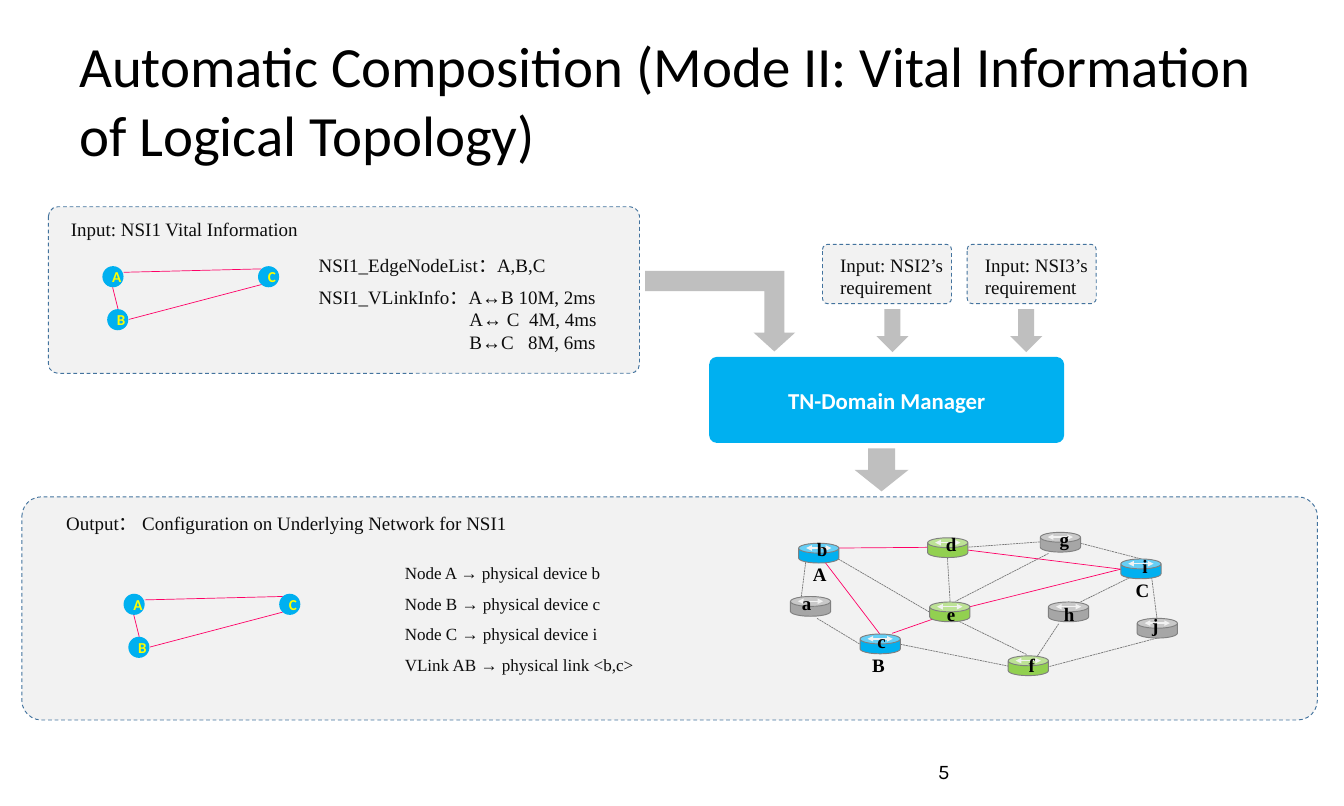
"""Build the slide on automatic composition from vital information of a logical topology."""
from lxml import etree
from pptx import Presentation
from pptx import util as u
from pptx.dml.color import RGBColor
from pptx.enum import dml, shapes, text
from pptx.oxml.ns import qn

BLACK = RGBColor(0x00, 0x00, 0x00)
INK = RGBColor(0x0D, 0x0D, 0x0D)
WHITE = RGBColor(0xFF, 0xFF, 0xFF)
PANEL = RGBColor(0xF2, 0xF2, 0xF2)
PANEL_EDGE = RGBColor(0x43, 0x73, 0x9E)
BLUE = RGBColor(0x00, 0xB0, 0xF0)
GREEN = RGBColor(0x92, 0xD0, 0x50)
GREY = RGBColor(0xA6, 0xA6, 0xA6)
ARROW = RGBColor(0xBF, 0xBF, 0xBF)
ROUTER_EDGE = RGBColor(0x80, 0x80, 0x80)
PINK = RGBColor(0xFF, 0x00, 0x66)
LINK_GREY = RGBColor(0x77, 0x77, 0x77)
YELLOW = RGBColor(0xFF, 0xFF, 0x00)

SERIF = "Times New Roman"
BODY = {"name": SERIF, "size": u.Pt(20)}
MAPPING = {"name": SERIF, "size": u.Pt(18)}
LABEL = {"name": SERIF, "size": u.Pt(20), "bold": True}
NODE = {"name": "Calibri", "size": u.Pt(16), "bold": True}
MANAGER = {"name": "Calibri", "size": u.Pt(24), "bold": True}
TITLE = {"name": "Calibri", "size": u.Pt(60)}
PAGE = {"name": "Karla", "size": u.Pt(22)}

LEFT, CENTER = text.PP_ALIGN.LEFT, text.PP_ALIGN.CENTER
TOP, MIDDLE = text.MSO_ANCHOR.TOP, text.MSO_ANCHOR.MIDDLE
DASH, FINE_DASH = dml.MSO_LINE.DASH, dml.MSO_LINE.SQUARE_DOT
SHAPE = shapes.MSO_SHAPE

LOGICAL_NODES = {"A": (1.5, 3.9), "C": (3.78, 3.9), "B": (1.57, 4.53)}
LOGICAL_LINKS = [
    ((1.65, 4.21), (1.73, 4.53)),
    ((3.83, 4.17), (1.89, 4.68)),
    ((1.81, 3.99), (3.83, 3.94)),
]
ROUTERS = {
    "a": (11.58, 8.74, GREY), "b": (11.7, 7.96, BLUE), "c": (12.6, 9.29, BLUE),
    "d": (13.59, 7.88, GREEN), "e": (13.62, 8.82, GREEN), "f": (14.77, 9.61, GREEN),
    "g": (15.24, 7.8, GREY), "h": (15.36, 8.82, GREY), "i": (16.42, 8.19, BLUE),
    "j": (16.66, 9.06, GREY),
}
ROUTER_LABELS = {
    "a": (11.65, 8.62), "b": (11.81, 7.83), "c": (12.68, 9.17), "d": (13.7, 7.75),
    "e": (13.7, 8.78), "f": (14.88, 9.52), "g": (15.36, 7.68), "h": (15.43, 8.78),
    "i": (16.54, 8.07), "j": (16.69, 8.94),
    "A": (11.81, 8.19), "B": (12.68, 9.53), "C": (16.54, 8.43),
}
SPARE_LINKS = [
    ((12.28, 8.19), (13.62, 8.97)), ((13.19, 9.44), (14.77, 9.76)),
    ((15.2, 9.61), (15.51, 9.14)), ((15.83, 8.82), (16.62, 8.43)),
    ((11.81, 8.19), (11.73, 8.82)), ((11.97, 9.06), (12.6, 9.44)),
    ((13.88, 8.17), (13.92, 8.82)), ((15.24, 7.94), (14.15, 8.02)),
    ((16.72, 8.19), (15.83, 7.96)), ((16.95, 9.35), (15.36, 9.77)),
    ((16.95, 9.06), (16.85, 8.29)), ((15.04, 9.59), (14.02, 9.09)),
    ((15.36, 8.11), (14, 8.81)),
]
USED_LINKS = [
    ((12.05, 8.19), (12.89, 9.29)), ((14.17, 8.9), (16.42, 8.34)),
    ((12.28, 8.03), (13.59, 8.02)), ((13.7, 9.06), (13.07, 9.28)),
    ((14.1, 8.05), (16.42, 8.34)),
]


def inches(*lengths):
    return [u.Inches(length) for length in lengths]


def apply(target, values):
    for name, value in values.items():
        setattr(target, name, value)


class TopologySlide:
    def __init__(self, presentation):
        self.slide = presentation.slides.add_slide(presentation.slide_layouts[1])
        self.shapes = self.slide.shapes

    def set_text(self, shape, lines, font, color, align=LEFT, anchor=TOP,
                 margins=(0.1, 0.05), spacing=1.0, indents=()):
        frame = shape.text_frame
        side, edge = inches(*margins)
        apply(frame, {
            "text": "\n".join(lines), "word_wrap": True, "vertical_anchor": anchor,
            "auto_size": text.MSO_AUTO_SIZE.NONE, "margin_left": side,
            "margin_right": side, "margin_top": edge, "margin_bottom": edge,
        })
        for index, paragraph in enumerate(frame.paragraphs):
            apply(paragraph, {"alignment": align, "line_spacing": spacing,
                              "space_before": u.Pt(0)})
            indent = indents[index] if indents else 0
            properties = paragraph._p.get_or_add_pPr()
            properties.set("marL", str(u.Inches(indent)))
            properties.set("indent", "0")
            etree.SubElement(properties, qn("a:buNone"))
            for run in paragraph.runs:
                apply(run.font, font)
                run.font.color.rgb = color

    def placeholder(self, shape, box, lines, font, color, **layout):
        apply(shape, dict(zip(("left", "top", "width", "height"), inches(*box))))
        self.shapes._spTree.append(shape._element)
        self.set_text(shape, lines, font, color, **layout)

    def text(self, box, lines, font=BODY, color=INK, **layout):
        self.set_text(self.shapes.add_textbox(*inches(*box)), lines, font, color, **layout)

    def preset(self, kind, box, fill, edge=None, dash=None, adjust=()):
        shape = self.shapes.add_shape(kind, *inches(*box))
        shape.shadow.inherit = False
        shape.fill.solid()
        shape.fill.fore_color.rgb = fill
        for index, value in enumerate(adjust):
            shape.adjustments[index] = value
        if edge is None:
            shape.line.fill.background()
        else:
            shape.line.color.rgb = edge
            apply(shape.line, {"width": u.Pt(1), "dash_style": dash})
        return shape

    def panel(self, box, corner=0.088):
        self.preset(SHAPE.ROUNDED_RECTANGLE, box, PANEL, PANEL_EDGE, DASH, [corner])

    def link(self, start, end, color, width=0.75, dash=None, arrows=False):
        connector = self.shapes.add_connector(
            shapes.MSO_CONNECTOR.STRAIGHT, *inches(*start, *end))
        connector.line.color.rgb = color
        apply(connector.line, {"width": u.Pt(width), "dash_style": dash})
        if arrows:
            for tag in ("a:headEnd", "a:tailEnd"):
                etree.SubElement(connector.line._ln, qn(tag), type="triangle")
        etree.SubElement(connector._element.spPr, qn("a:effectLst"))

    def router(self, left, top, color):
        self.preset(SHAPE.CAN, (left, top, 0.59, 0.29), color, ROUTER_EDGE, adjust=[0.5])
        self.link((left + 0.11, top + 0.07), (left + 0.48, top + 0.07),
                  PANEL, 1.5, arrows=True)

    def logical_topology(self, dx, dy):
        for name, (left, top) in LOGICAL_NODES.items():
            node = self.preset(SHAPE.OVAL, (left + dx, top + dy, 0.31, 0.31), BLUE)
            self.set_text(node, [name], NODE, YELLOW, align=CENTER, anchor=MIDDLE)
        for (x1, y1), (x2, y2) in LOGICAL_LINKS:
            self.link((x1 + dx, y1 + dy), (x2 + dx, y2 + dy), PINK)

    def physical_network(self):
        for start, end in SPARE_LINKS:
            self.link(start, end, LINK_GREY, dash=FINE_DASH)
        for start, end in USED_LINKS:
            self.link(start, end, PINK)
        for router in ROUTERS.values():
            self.router(*router)
        for name, corner in ROUTER_LABELS.items():
            self.text((*corner, 0.47, 0.44), [name], LABEL, BLACK,
                      align=LEFT if name in "ABCa" else CENTER)

    def requirement(self, left, arrow_left, name):
        self.preset(SHAPE.DOWN_ARROW, (arrow_left, 4.53, 0.47, 0.63), ARROW)
        self.panel((left, 3.58, 1.89, 0.87))
        self.text((left + 0.16, 3.66, 2.05, 0.77), [f"Input: {name}’s requirement"])


def main():
    presentation = Presentation()
    apply(presentation, {"slide_width": u.Inches(19.69), "slide_height": u.Inches(11.81)})
    page = TopologySlide(presentation)
    title, mapping = page.slide.placeholders

    page.placeholder(
        title, (0.98, 0.47, 17.72, 1.97),
        ["Automatic Composition (Mode II: Vital Information of Logical Topology)"],
        TITLE, BLACK, anchor=MIDDLE, margins=(0.18, 0.09))

    page.panel((0.71, 3.03, 8.66, 2.44), 0.056)
    page.text((0.94, 3.14, 3.94, 0.44), ["Input: NSI1 Vital Information"])
    page.logical_topology(0, 0)
    page.text((4.57, 3.66, 4.72, 0.44), ["NSI1_EdgeNodeList：A,B,C"])
    page.text((4.57, 4.13, 4.72, 1.11),
              ["NSI1_VLinkInfo：A↔B 10M, 2ms", "A↔ C  4M, 4ms", "B↔C   8M, 6ms"],
              indents=(0, 2.21, 2.21))

    bent = page.preset(SHAPE.BENT_UP_ARROW, (9.45, 3.97, 2.2, 1.18), ARROW,
                       adjust=[0.25, 0.258, 0.234])
    bent._element.spPr.xfrm.set("flipV", "1")
    page.requirement(12.05, 12.84, "NSI2")
    page.requirement(14.17, 14.8, "NSI3")
    manager = page.preset(SHAPE.ROUNDED_RECTANGLE, (10.39, 5.23, 5.2, 1.26), BLUE,
                          adjust=[0.088])
    page.set_text(manager, ["TN-Domain Manager"], MANAGER, WHITE, align=CENTER,
                  anchor=MIDDLE, margins=(0.15, 0.07))
    page.preset(SHAPE.DOWN_ARROW, (12.52, 6.57, 0.79, 0.63), ARROW)

    page.panel((0.32, 7.28, 18.98, 3.27))
    page.text((0.87, 7.44, 6.93, 0.44),
              ["Output： Configuration on Underlying Network for NSI1"])
    page.logical_topology(0.31, 4.8)
    page.placeholder(
        mapping, (5.83, 8.04, 3.86, 1.92),
        ["Node A → physical device b", "Node B → physical device c",
         "Node C → physical device i", "VLink AB → physical link <b,c>"],
        MAPPING, INK, spacing=1.5)
    page.physical_network()
    page.text((13.66, 11.18, 3.88, 0.63), ["5"], PAGE, BLACK,
              margins=(0.08, 0), spacing=0.85)
    presentation.save("out.pptx")


if __name__ == "__main__":
    main()
